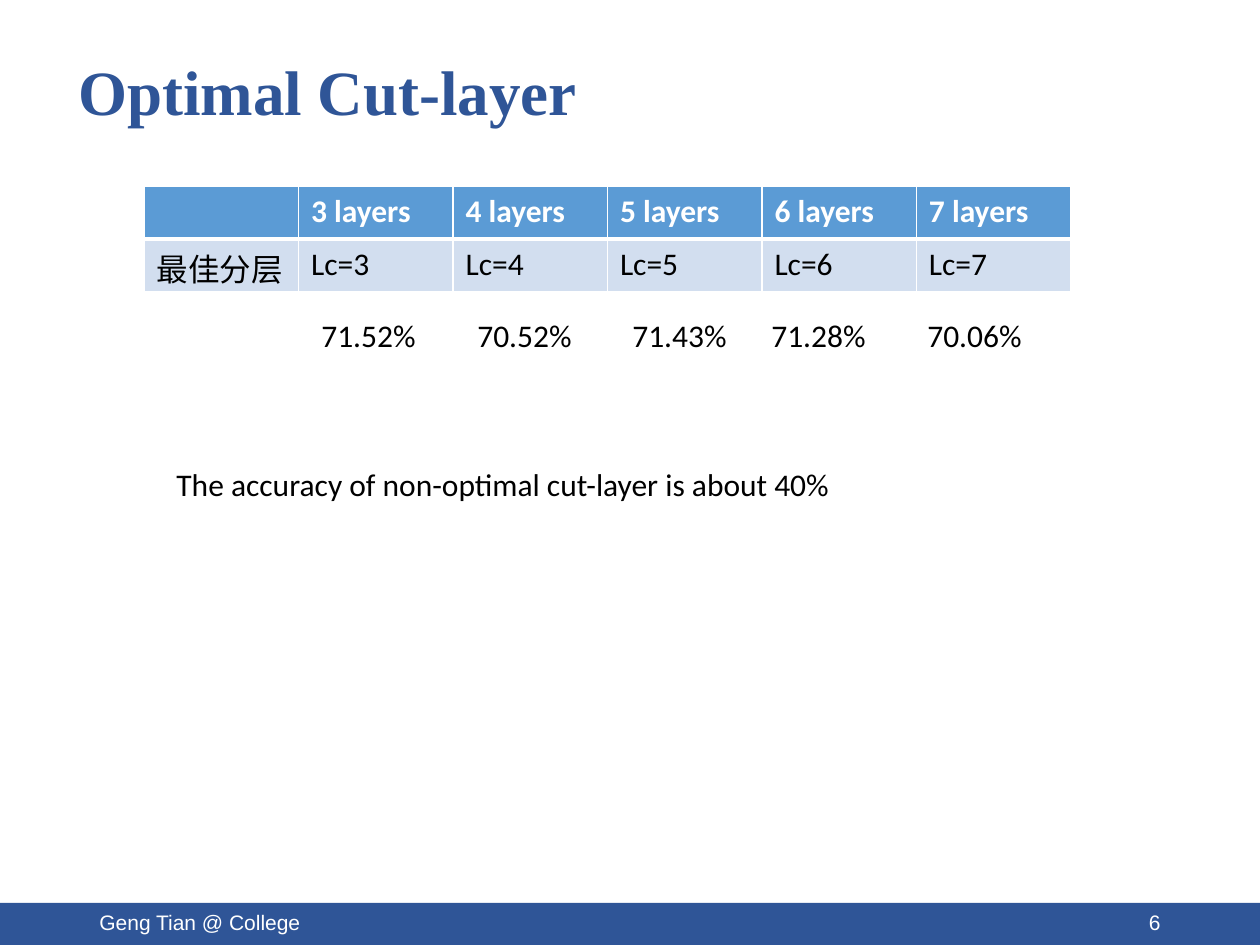
from lxml.etree import SubElement
from pptx import Presentation
from pptx.dml.color import RGBColor
from pptx.enum.shapes import MSO_SHAPE as SHAPE
from pptx.enum.text import MSO_ANCHOR as ANCHOR, MSO_AUTO_SIZE as AUTO_SIZE, PP_ALIGN as ALIGN
from pptx.oxml.ns import qn
from pptx.util import Emu, Pt

COLORS = {
    "navy": "2F5597",
    "header": "5B9BD5",
    "body": "D2DEEF",
    "white": "FFFFFF",
    "black": "000000",
}


def px(n):
    return Emu(round(n * 914400 / 126))


def rgb(name):
    return RGBColor.from_string(COLORS[name])


def write(tf, text, font="Calibri", size=18, color="black", bold=False,
          align=None, spacing=None):
    p = tf.paragraphs[0]
    p.alignment = align
    p.line_spacing = spacing
    r = p.add_run()
    r.text = text
    r.font.name = font
    r.font.size = Pt(size)
    r.font.bold = bold
    r.font.color.rgb = rgb(color)


class SlideBuilder:
    def __init__(self, slide, border="white"):
        self.slide = slide
        self.border = border

    def rect(self, x, y, w, h, color):
        sp = self.slide.shapes.add_shape(SHAPE.RECTANGLE, px(x), px(y), px(w), px(h))
        sp.shadow.inherit = False
        sp.fill.solid()
        sp.fill.fore_color.rgb = rgb(color)
        sp.line.fill.background()

    def text(self, x, y, w, h, text, anchor=ANCHOR.TOP, grow=False, **fmt):
        tf = self.slide.shapes.add_textbox(px(x), px(y), px(w), px(h)).text_frame
        tf.word_wrap = True
        tf.vertical_anchor = anchor
        if grow:
            tf.auto_size = AUTO_SIZE.SHAPE_TO_FIT_TEXT
        write(tf, text, **fmt)

    def borders(self, cell, **widths):
        tcPr = cell._tc.get_or_add_tcPr()
        for side in "LRTB":
            ln = SubElement(tcPr, qn(f"a:ln{side}"), w=str(Pt(widths.get(side, 1))))
            fill = SubElement(ln, qn("a:solidFill"))
            SubElement(fill, qn("a:srgbClr"), val=COLORS[self.border])

    def table(self, x, y, w, h, rows):
        n = len(rows[0])
        tbl = self.slide.shapes.add_table(len(rows), n, px(x), px(y), px(w), px(h)).table
        for i, row in enumerate(rows):
            head = i == 0
            for j, value in enumerate(row):
                cell = tbl.cell(i, j)
                self.borders(cell, **{"B" if head else "T": 3})
                cell.fill.solid()
                cell.fill.fore_color.rgb = rgb("header" if head else "body")
                write(cell.text_frame, value, bold=head,
                      color="white" if head else "black")


def main():
    prs = Presentation()
    prs.slide_width, prs.slide_height = px(1260), px(945)
    s = SlideBuilder(prs.slides.add_slide(prs.slide_layouts[6]))

    s.rect(-1, 903, 1263, 42, "navy")
    footer = dict(anchor=ANCHOR.MIDDLE, font="Arial", size=12, color="white")
    s.text(87, 897, 284, 50, "Geng Tian @ College", **footer)
    s.text(889, 897, 284, 50, "6", align=ALIGN.RIGHT, **footer)
    s.text(66, 34, 1086, 123, "Optimal Cut-layer", anchor=ANCHOR.MIDDLE,
           font="Times New Roman", size=36, color="navy", bold=True, spacing=0.9)

    layers = range(3, 8)
    s.table(144, 186, 927, 106, [
        [""] + [f"{n} layers" for n in layers],
        ["最佳分层"] + [f"Lc={n}" for n in layers],
    ])

    accuracies = {309: "71.52%", 465: "70.52%", 620: "71.43%", 759: "71.28%", 915: "70.06%"}
    for x, value in accuracies.items():
        s.text(x, 310, 139, 50, value, grow=True)
    s.text(164, 459, 803, 50, "The accuracy of non-optimal cut-layer is about 40%", grow=True)

    prs.save("out.pptx")


if __name__ == "__main__":
    main()
